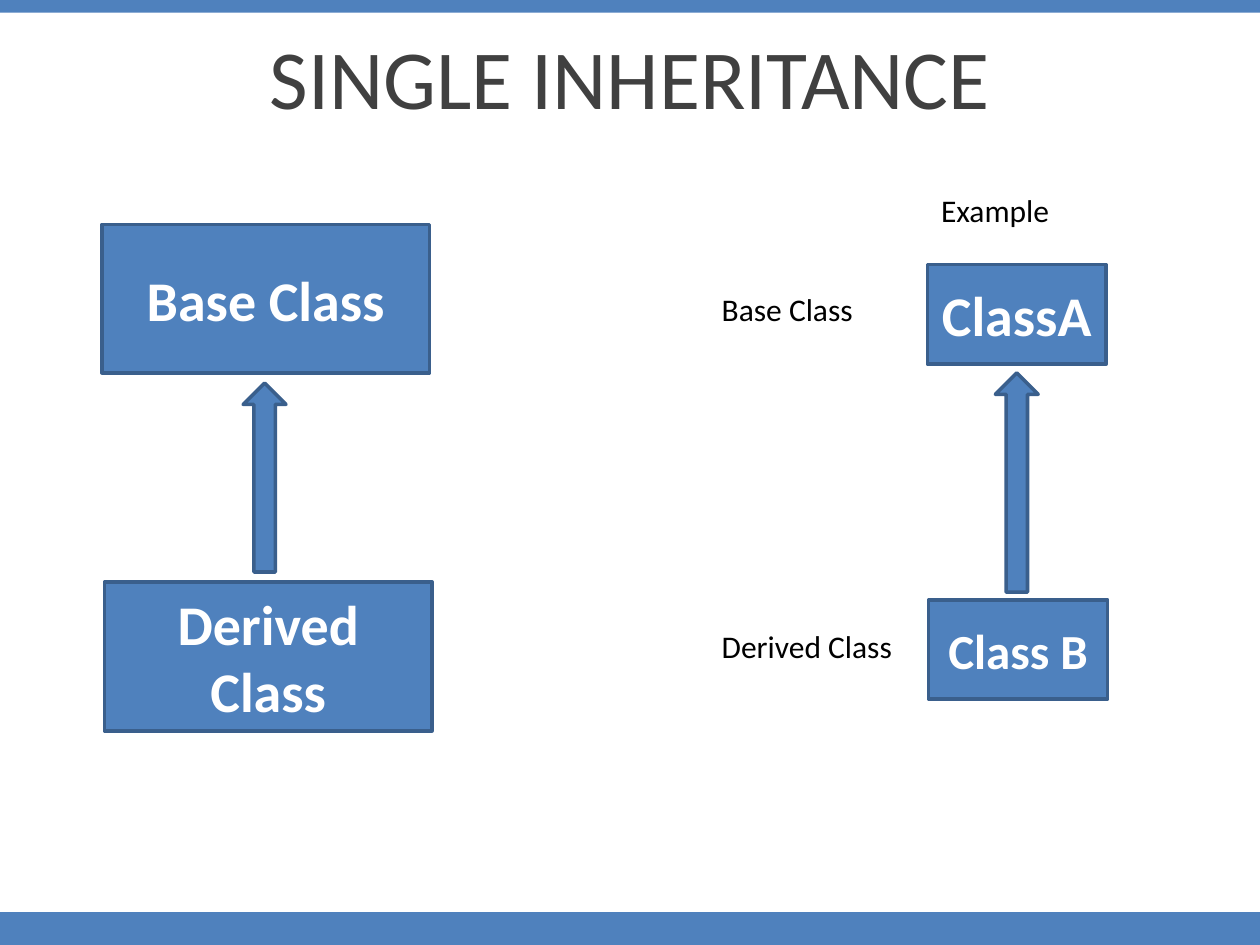
from pptx import Presentation
from pptx.dml.color import RGBColor
from pptx.enum.shapes import MSO_SHAPE as Shape
from pptx.enum.text import MSO_ANCHOR as Anchor, PP_ALIGN as Align
from pptx.util import Inches, Pt

BLUE = RGBColor(0x4F, 0x81, 0xBD)
DARK_BLUE = RGBColor(0x3A, 0x5F, 0x8C)
GREY = RGBColor(0x40, 0x40, 0x40)
BLACK = RGBColor(0, 0, 0)
WHITE = RGBColor(0xFF, 0xFF, 0xFF)
FONT = "Calibri"


def write(box, text, size, color, bold=False, align=Align.LEFT, anchor=Anchor.TOP):
    frame = box.text_frame
    frame.word_wrap = True
    frame.vertical_anchor = anchor
    para = frame.paragraphs[0]
    para.alignment = align
    span = para.add_run()
    span.text = text
    span.font.name = FONT
    span.font.size = Pt(size)
    span.font.bold = bold
    span.font.color.rgb = color


def add_title(page, text):
    title = page.shapes.title
    title.left, title.top = Inches(0), Inches(0.18)
    title.width, title.height = Inches(10), Inches(0.84)
    write(title, text, 48, GREY, align=Align.CENTER, anchor=Anchor.MIDDLE)


def add_blue_shape(shapes, kind, left, top, width, height, outlined=True):
    shape = shapes.add_shape(kind, Inches(left), Inches(top), Inches(width), Inches(height))
    shape.shadow.inherit = False
    shape.fill.solid()
    shape.fill.fore_color.rgb = BLUE
    if outlined:
        shape.line.color.rgb = DARK_BLUE
        shape.line.width = Pt(2)
    else:
        shape.line.fill.background()
    return shape


def add_class_diagram(page, classes, size, arrow):
    group = page.shapes.add_group_shape()
    for name, left, top, points in classes:
        box = add_blue_shape(group.shapes, Shape.RECTANGLE, left, top, *size)
        write(box, name, points, WHITE, bold=True, align=Align.CENTER, anchor=Anchor.MIDDLE)
    add_blue_shape(group.shapes, Shape.UP_ARROW, *arrow)


def add_label(page, text, left, top, width):
    box = page.shapes.add_textbox(Inches(left), Inches(top), Inches(width), Inches(0.4))
    write(box, text, 18, BLACK)


def main():
    deck = Presentation()
    deck.slide_width, deck.slide_height = Inches(10), Inches(7.5)
    page = deck.slides.add_slide(deck.slide_layouts[5])

    for top, height in ((7.24, 0.26), (0, 0.1)):
        add_blue_shape(page.shapes, Shape.RECTANGLE, 0, top, 10, height, outlined=False)
    add_title(page, "SINGLE INHERITANCE")

    add_class_diagram(
        page,
        [("Base Class", 0.81, 1.78, 32), ("Derived Class", 0.83, 4.62, 32)],
        size=(2.6, 1.18),
        arrow=(1.93, 3.04, 0.34, 1.5),
    )
    add_class_diagram(
        page,
        [("ClassA", 7.36, 2.1, 32), ("Class B", 7.37, 4.76, 28)],
        size=(1.42, 0.79),
        arrow=(7.9, 2.96, 0.34, 1.74),
    )

    add_label(page, "Example", 7.37, 1.47, 1.18)
    add_label(page, "Base Class", 5.63, 2.25, 1.57)
    add_label(page, "Derived Class", 5.63, 4.93, 1.57)

    deck.save("out.pptx")


if __name__ == "__main__":
    main()
